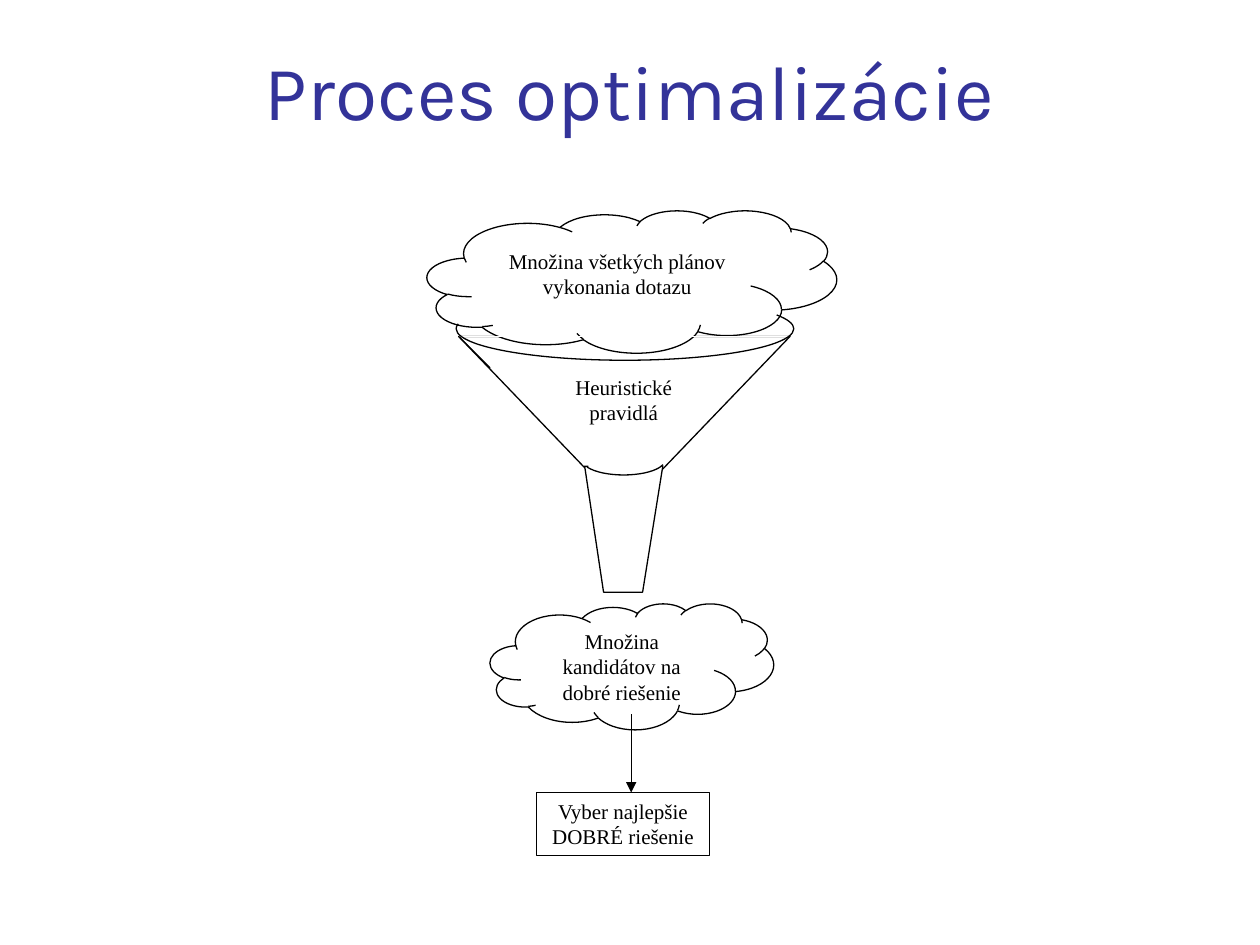
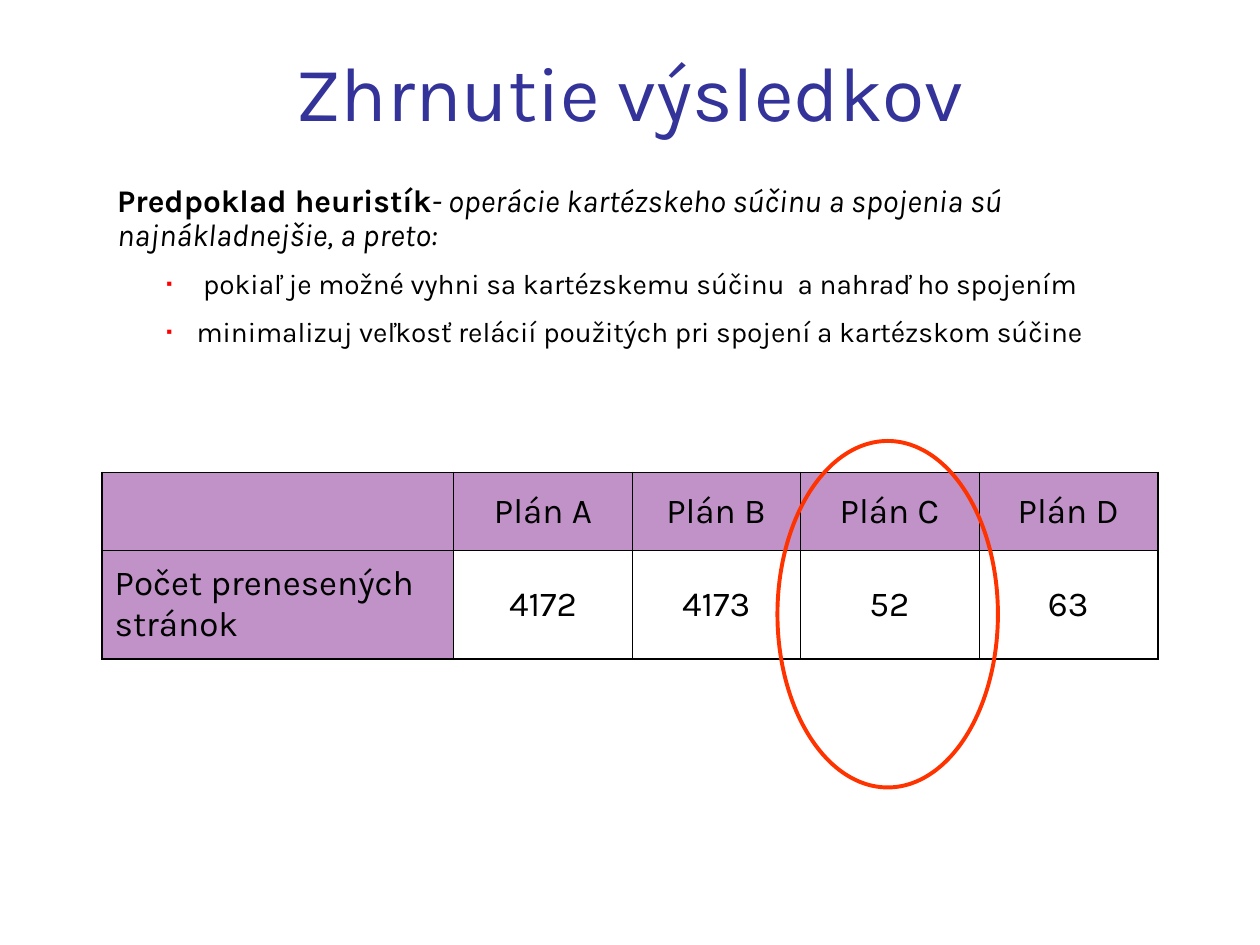
from pptx import Presentation
from pptx.dml.color import RGBColor
from pptx.enum.shapes import MSO_CONNECTOR, MSO_SHAPE as Preset
from pptx.enum.text import MSO_ANCHOR as Anchor, MSO_AUTO_SIZE as AutoSize, PP_ALIGN as Align
from pptx.oxml.ns import qn
from pptx.util import Inches, Pt
from lxml import etree

BLACK = RGBColor(0x00, 0x00, 0x00)
WHITE = RGBColor(0xFF, 0xFF, 0xFF)
INDIGO = RGBColor(0x33, 0x33, 0x99)
LILAC = RGBColor(0xC0, 0x92, 0xC8)
ORANGE = RGBColor(0xFF, 0x33, 0x00)
RED = RGBColor(0xFF, 0x00, 0x00)

TITLE_ONLY, TITLE_AND_BODY = 5, 1
MARGINS = (0.1, 0.05, 0.1, 0.05)
THIN, FRAME = 0.45, 1.08

TITLE_FONT = {"name": "Karla", "size": Pt(44), "color": INDIGO}
DIAGRAM_FONT = {"name": "Times New Roman", "size": Pt(12), "color": BLACK}
LEAD_FONT = {"name": "Karla", "size": Pt(18), "color": BLACK}
LIST_FONT = {**LEAD_FONT, "size": Pt(16)}
TABLE_FONT = {**LEAD_FONT, "size": Pt(20)}


def add_xml(parent, tag, **attributes):
    return etree.SubElement(parent, qn(tag), attributes)


def set_margins(holder, margins):
    for side, value in zip(("left", "top", "right", "bottom"), margins):
        setattr(holder, f"margin_{side}", Inches(value))


def add_span(para, text, style):
    span = para.add_run()
    span.text = text
    for name, value in style.items():
        if name == "color":
            span.font.color.rgb = value
        else:
            setattr(span.font, name, value)


def place(shape, left, top, width, height):
    for name, value in zip(("left", "top", "width", "height"), (left, top, width, height)):
        setattr(shape, name, Inches(value))


class DeckBuilder:
    def __init__(self):
        self.deck = Presentation()
        self.deck.slide_width, self.deck.slide_height = Inches(10), Inches(7.5)
        self.page = None

    def add_page(self, layout, title, top, height):
        self.page = self.deck.slides.add_slide(self.deck.slide_layouts[layout])
        box = self.page.shapes.title
        place(box, 0.74, top, 8.52, height)
        frame = box.text_frame
        frame.auto_size = AutoSize.NONE
        frame.vertical_anchor = Anchor.BOTTOM
        set_margins(frame, (0, 0, 0, 0))
        frame.paragraphs[0].alignment = Align.CENTER
        add_span(frame.paragraphs[0], title, TITLE_FONT)

    def paint(self, shape, fill, line, width):
        shape.shadow.inherit = False
        if fill is None:
            shape.fill.background()
        else:
            shape.fill.solid()
            shape.fill.fore_color.rgb = fill
        if line is None:
            shape.line.fill.background()
        else:
            shape.line.color.rgb = line
            shape.line.width = Pt(width)

    def add_shape(self, preset, bounds, text="", fill=WHITE, line=BLACK, width=0.75,
                  margins=MARGINS):
        shape = self.page.shapes.add_shape(preset, *map(Inches, bounds))
        self.paint(shape, fill, line, width)
        if text:
            frame = shape.text_frame
            frame.word_wrap = True
            frame.vertical_anchor = Anchor.TOP
            set_margins(frame, margins)
            frame.paragraphs[0].alignment = Align.CENTER
            add_span(frame.paragraphs[0], text, DIAGRAM_FONT)
        return shape

    def add_arc(self, bounds, start, end):
        """Draw clockwise from start to end, both in degrees."""
        arc = self.add_shape(Preset.ARC, bounds, fill=None)
        for index, angle in enumerate((start, end)):
            arc.adjustments[index] = angle * 60000 / 100000

    def add_outline(self, points):
        corners = [tuple(map(Inches, point)) for point in points]
        builder = self.page.shapes.build_freeform(*corners[0])
        builder.add_line_segments(corners[1:], close=True)
        self.paint(builder.convert_to_shape(), WHITE, BLACK, 0.75)

    def add_line(self, start, end, color=BLACK, arrow=False):
        line = self.page.shapes.add_connector(
            MSO_CONNECTOR.STRAIGHT, *map(Inches, (*start, *end)))
        line.line.color.rgb = color
        line.line.width = Pt(0.75)
        properties = line._element.spPr
        if arrow:
            add_xml(properties.find(qn("a:ln")), "a:tailEnd", type="triangle")
        add_xml(properties, "a:effectLst")

    def add_list(self, bounds, lead, items):
        """Fill the body with a lead paragraph and bulleted items, each a list of spans."""
        box = self.page.placeholders[1]
        place(box, *bounds)
        frame = box.text_frame
        frame.word_wrap = True
        frame.auto_size = AutoSize.SHAPE_TO_FIT_TEXT
        set_margins(frame, MARGINS)
        for index, spans in enumerate([lead, *items]):
            para = frame.add_paragraph() if index else frame.paragraphs[0]
            para.level = 1 if index else 0
            para.line_spacing = 0.9
            para.space_before = Pt(10 if index else 0)
            properties = para._p.get_or_add_pPr()
            if index:
                properties.set("marL", str(Inches(0.63)))
                properties.set("indent", str(Inches(-0.24)))
                color = add_xml(properties, "a:buClr")
                add_xml(color, "a:srgbClr", val=str(RED))
                add_xml(properties, "a:buSzPct", val="60000")
                add_xml(properties, "a:buChar", char="▪")
            else:
                properties.set("marL", "0")
                properties.set("indent", "0")
                add_xml(properties, "a:buNone")
            for text, style in spans:
                add_span(para, text, style)

    def add_table(self, left, top, widths, heights, rows):
        bounds = map(Inches, (left, top, sum(widths), sum(heights)))
        table = self.page.shapes.add_table(len(rows), len(widths), *bounds).table
        table.first_row = table.horz_banding = False
        for column, width in zip(table.columns, widths):
            column.width = Inches(width)
        for row, height in zip(table.rows, heights):
            row.height = Inches(height)
        last_row, last_column = len(rows) - 1, len(widths) - 1
        for r, texts in enumerate(rows):
            for c, text in enumerate(texts):
                cell = table.cell(r, c)
                is_header = r == 0 or c == 0
                cell.vertical_anchor = Anchor.MIDDLE
                set_margins(cell, MARGINS)
                self.add_borders(cell, {"L": c == 0, "R": c == last_column,
                                        "T": r == 0, "B": r == last_row})
                if is_header:
                    cell.fill.solid()
                    cell.fill.fore_color.rgb = LILAC
                else:
                    cell.fill.background()
                if text:
                    para = cell.text_frame.paragraphs[0]
                    para.alignment = Align.CENTER if c else Align.LEFT
                    add_span(para, text, TABLE_FONT)

    def add_borders(self, cell, on_frame):
        properties = cell._tc.get_or_add_tcPr()
        for side, is_frame in on_frame.items():
            width = Pt(FRAME if is_frame else THIN)
            border = add_xml(properties, f"a:ln{side}", w=str(width))
            fill = add_xml(border, "a:solidFill")
            add_xml(fill, "a:srgbClr", val=str(BLACK))


def build_process(builder):
    builder.add_page(TITLE_ONLY, "Proces optimalizácie", 0.33, 0.75)
    funnel = builder.add_shape(Preset.ISOSCELES_TRIANGLE, (3.64, 2.67, 2.63, 1.37))
    funnel.rotation = 180
    builder.add_shape(Preset.CLOUD, (3.39, 1.67, 3.25, 1.13),
                      "Množina všetkých plánov vykonania dotazu",
                      margins=(0.1, 0.13, 0.1, 0.05))
    builder.add_outline([(4.64, 3.7), (4.79, 4.7), (5.1, 4.7), (5.26, 3.7)])
    spout_opening = (4.67, 3.34, 0.58, 0.37)
    builder.add_shape(Preset.RECTANGLE, spout_opening, line=None)
    builder.add_arc((4.62, 3.53, 0.66, 0.24), 7, 169)
    builder.add_line((3.64, 2.67), (6.26, 2.67), WHITE)
    builder.add_arc((3.62, 2.36, 2.68, 0.5), 354.8, 181.7)
    builder.add_line((3.64, 2.67), (3.89, 2.92))
    builder.add_shape(Preset.RECTANGLE, (4.39, 2.92, 1.12, 0.5),
                      "Heuristické pravidlá", line=None)
    builder.add_shape(Preset.CLOUD, (3.89, 4.79, 2.25, 1),
                      "Množina kandidátov na dobré riešenie")
    builder.add_line((5.01, 5.67), (5.01, 6.29), arrow=True)
    builder.add_shape(Preset.RECTANGLE, (4.26, 6.29, 1.37, 0.5),
                      "Vyber najlepšie DOBRÉ riešenie")


def build_summary(builder):
    builder.add_page(TITLE_AND_BODY, "Zhrnutie výsledkov", 0.25, 0.84)
    builder.add_list(
        (0.83, 1.42, 8.25, 1.4),
        [("Predpoklad heuristík", {**LEAD_FONT, "bold": True}),
         ("- operácie kartézskeho súčinu a spojenia sú najnákladnejšie, a preto:",
          {**LEAD_FONT, "italic": True})],
        [[(" pokiaľ je možné vyhni sa kartézskemu súčinu  a nahraď ho spojením", LIST_FONT)],
         [("minimalizuj veľkosť relácií použitých pri spojení a kartézskom súčine", LIST_FONT)]])
    builder.add_table(0.81, 3.75, [2.79, 1.42, 1.33, 1.42, 1.42], [0.62, 0.86], [
        ["", "Plán A", "Plán B", "Plán C", "Plán D"],
        ["Počet prenesených stránok", "4172", "4173", "52", "63"]])
    builder.add_shape(Preset.OVAL, (6.17, 3.5, 1.75, 2.75), fill=None, line=ORANGE, width=2.25)


def main():
    builder = DeckBuilder()
    build_process(builder)
    build_summary(builder)
    builder.deck.save("out.pptx")


if __name__ == "__main__":
    main()
